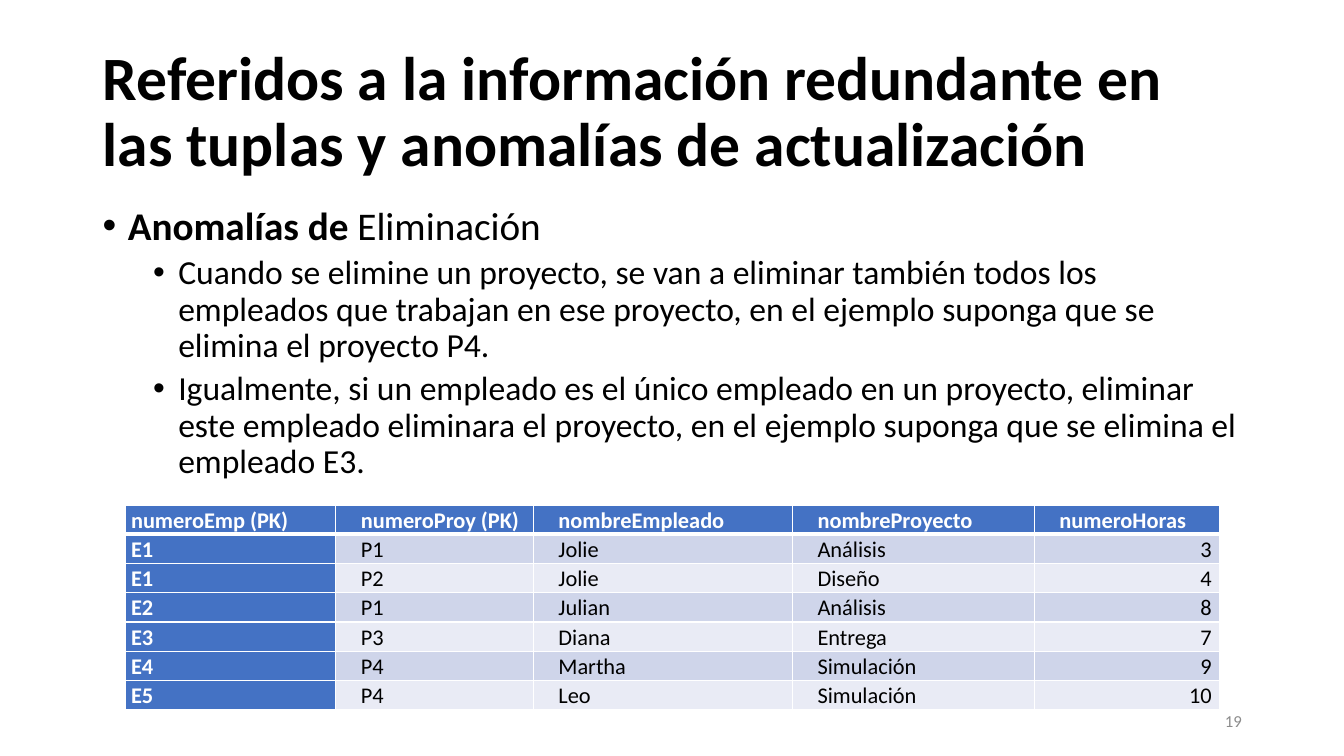
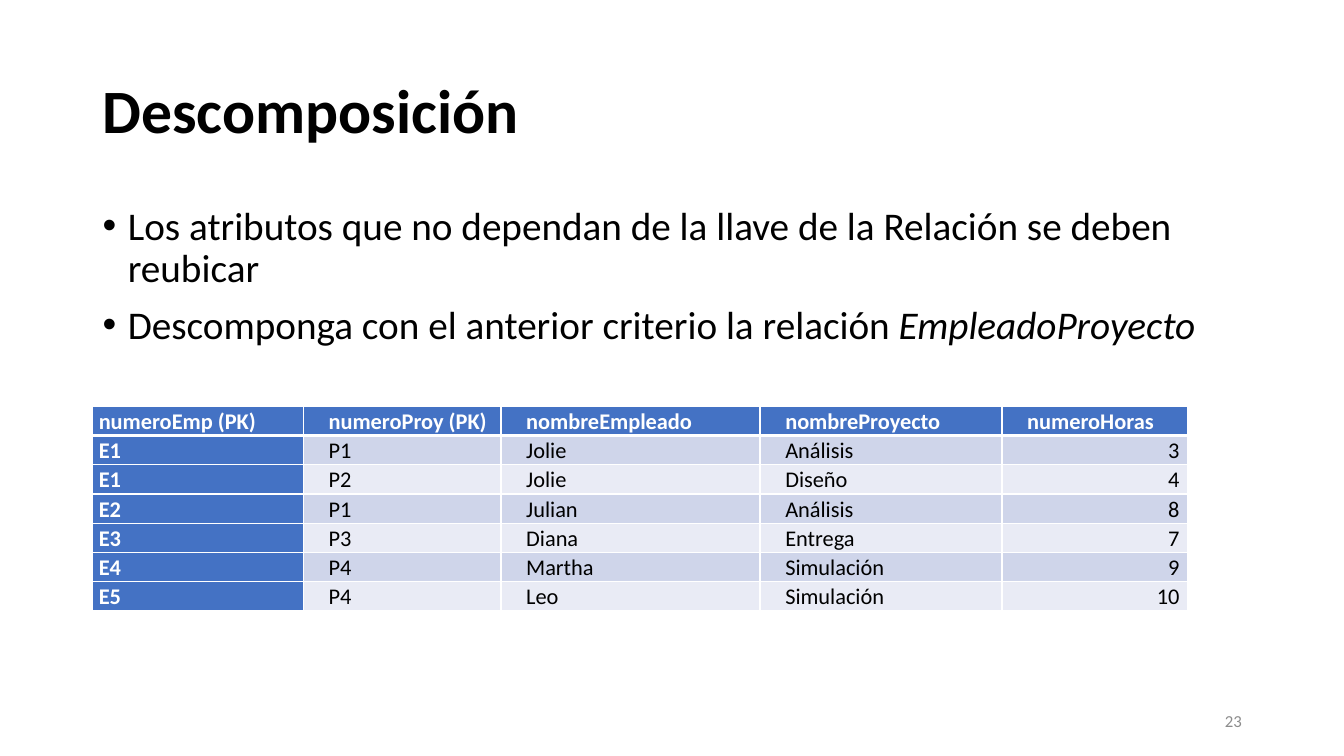
from lxml.etree import SubElement
from pptx import Presentation
from pptx.dml.color import RGBColor
from pptx.enum.text import MSO_ANCHOR, PP_ALIGN
from pptx.oxml.ns import qn
from pptx.util import Inches, Pt

FONT = "Calibri"
BLACK, WHITE, GRAY = "000000", "FFFFFF", "8C8C8C"
BLUE, BANDS = "4472C4", ("E9EBF5", "CFD5EA")

prs = Presentation()
prs.slide_width, prs.slide_height = Inches(13.33), Inches(7.5)
# One hundredth of the slide's width and height
COL, ROW = prs.slide_width / 100, prs.slide_height / 100

# Shared places, in hundredths: left, top, width, height
TITLE_AREA = (6.9, 5.33, 86.25, 19.33)
BODY_AREA = (6.9, 26.67, 86.25, 63.47)
NUMBER_AREA = (70.65, 92.67, 22.5, 5.33)
COLUMN_WIDTHS = (15.68, 14.7, 19.28, 18, 13.8)
ROW_HEIGHT = 3.87
LEVELS = ((28, 10, 0.25), (24, 5, 0.75))  # size, space before, indent

employees = (
    ("numeroEmp (PK)", "numeroProy (PK)", "nombreEmpleado", "nombreProyecto", "numeroHoras"),
    ("E1", "P1", "Jolie", "Análisis", "3 "),
    ("E1", "P2", "Jolie", "Diseño", "4 "),
    ("E2", "P1", "Julian", "Análisis", "8 "),
    ("E3", "P3", "Diana", "Entrega", "7 "),
    ("E4", "P4", "Martha", "Simulación", "9 "),
    ("E5", "P4", "Leo", "Simulación", "10 "),
)

# Body paragraphs: level, then runs of (text, bold, italic)
slides = (
    {
        "title": "Referidos a la información redundante en las tuplas y anomalías de actualización",
        "body": (
            (0, (("Anomalías de ", True, False), ("Eliminación", False, False))),
            (1, (("Cuando se elimine un proyecto, se van a eliminar también todos los "
                  "empleados que trabajan en ese proyecto, en el ejemplo suponga que se "
                  "elimina el proyecto P4.", False, False),)),
            (1, (("Igualmente, si un empleado es el único empleado en un proyecto, eliminar "
                  "este empleado eliminara el proyecto, en el ejemplo suponga que se "
                  "elimina el empleado E3.", False, False),)),
        ),
        "table_at": (9.3, 66.8),
        "number": "19",
    },
    {
        "title": "Descomposición",
        "body": (
            (0, (("Los atributos que no dependan de la llave de la Relación se deben "
                  "reubicar", False, False),)),
            (0, (("Descomponga con el anterior criterio la relación ", False, False),
                 ("EmpleadoProyecto", False, True))),
        ),
        "table_at": (6.9, 53.73),
        "number": "23",
    },
)


def add_text_area(slide, area, anchor):
    left, top, width, height = area
    frame = slide.shapes.add_textbox(
        int(left * COL), int(top * ROW), int(width * COL), int(height * ROW)).text_frame
    frame.word_wrap = True
    frame.vertical_anchor = anchor
    return frame


def style(font, size, color, bold=False, italic=False):
    font.name, font.size, font.bold, font.italic = FONT, Pt(size), bold, italic
    font.color.rgb = RGBColor.from_string(color)


for content in slides:
    slide = prs.slides.add_slide(prs.slide_layouts[6])

    # Title
    title = add_text_area(slide, TITLE_AREA, MSO_ANCHOR.MIDDLE)
    title.text = content["title"]
    title.paragraphs[0].line_spacing = 0.9
    style(title.paragraphs[0].runs[0].font, 44, BLACK, bold=True)

    # Bulleted body
    body = add_text_area(slide, BODY_AREA, MSO_ANCHOR.TOP)
    for i, (level, runs) in enumerate(content["body"]):
        size, space_before, indent = LEVELS[level]
        paragraph = body.add_paragraph() if i else body.paragraphs[0]
        paragraph.level = level
        paragraph.line_spacing = 0.9
        paragraph.space_before = Pt(space_before if i else 0)
        properties = paragraph._p.get_or_add_pPr()
        properties.set("marL", str(Inches(indent)))
        properties.set("indent", str(Inches(-0.25)))
        SubElement(properties, qn("a:buFont"), typeface="Arial")
        SubElement(properties, qn("a:buChar"), char="•")
        for text, bold, italic in runs:
            run = paragraph.add_run()
            run.text = text
            style(run.font, size, BLACK, bold, italic)

    # Employee and project table
    left, top = content["table_at"]
    table = slide.shapes.add_table(
        len(employees), len(COLUMN_WIDTHS), int(left * COL), int(top * ROW),
        int(sum(COLUMN_WIDTHS) * COL), int(len(employees) * ROW_HEIGHT * ROW)).table
    for column, width in zip(table.columns, COLUMN_WIDTHS):
        column.width = int(width * COL)
    for r, record in enumerate(employees):
        table.rows[r].height = int(ROW_HEIGHT * ROW)
        for c, value in enumerate(record):
            cell = table.cell(r, c)
            is_heading = r == 0 or c == 0
            cell.margin_left = Inches(0.25 if c else 0.06)
            cell.margin_right = Inches(0.03)
            cell.margin_top = cell.margin_bottom = 0
            # White rules, thicker under the header
            for side in ("L", "R", "T", "B"):
                thick = (r, side) in ((0, "B"), (1, "T"))
                rule = SubElement(cell._tc.get_or_add_tcPr(), qn(f"a:ln{side}"),
                                  w=str(Pt(3 if thick else 1)))
                SubElement(SubElement(rule, qn("a:solidFill")), qn("a:srgbClr"), val=WHITE)
            cell.fill.solid()
            cell.fill.fore_color.rgb = RGBColor.from_string(BLUE if is_heading else BANDS[r % 2])
            cell.text_frame.text = value
            paragraph = cell.text_frame.paragraphs[0]
            paragraph.line_spacing = 1.07
            if r and c == len(record) - 1:
                paragraph.alignment = PP_ALIGN.RIGHT
            style(paragraph.runs[0].font, 16, WHITE if is_heading else BLACK, bold=is_heading)

    # Slide number
    number = add_text_area(slide, NUMBER_AREA, MSO_ANCHOR.MIDDLE)
    number.text = content["number"]
    number.paragraphs[0].alignment = PP_ALIGN.RIGHT
    style(number.paragraphs[0].runs[0].font, 12, GRAY)

prs.save("out.pptx")
